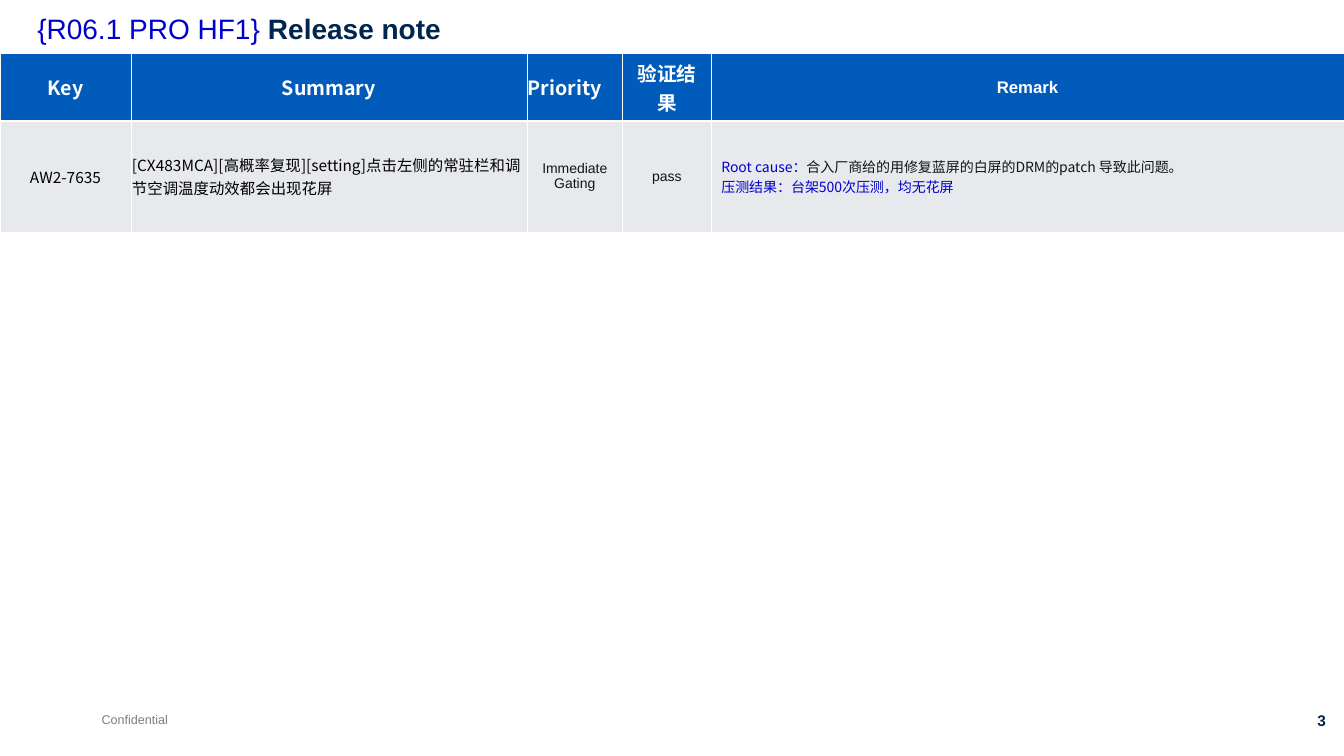
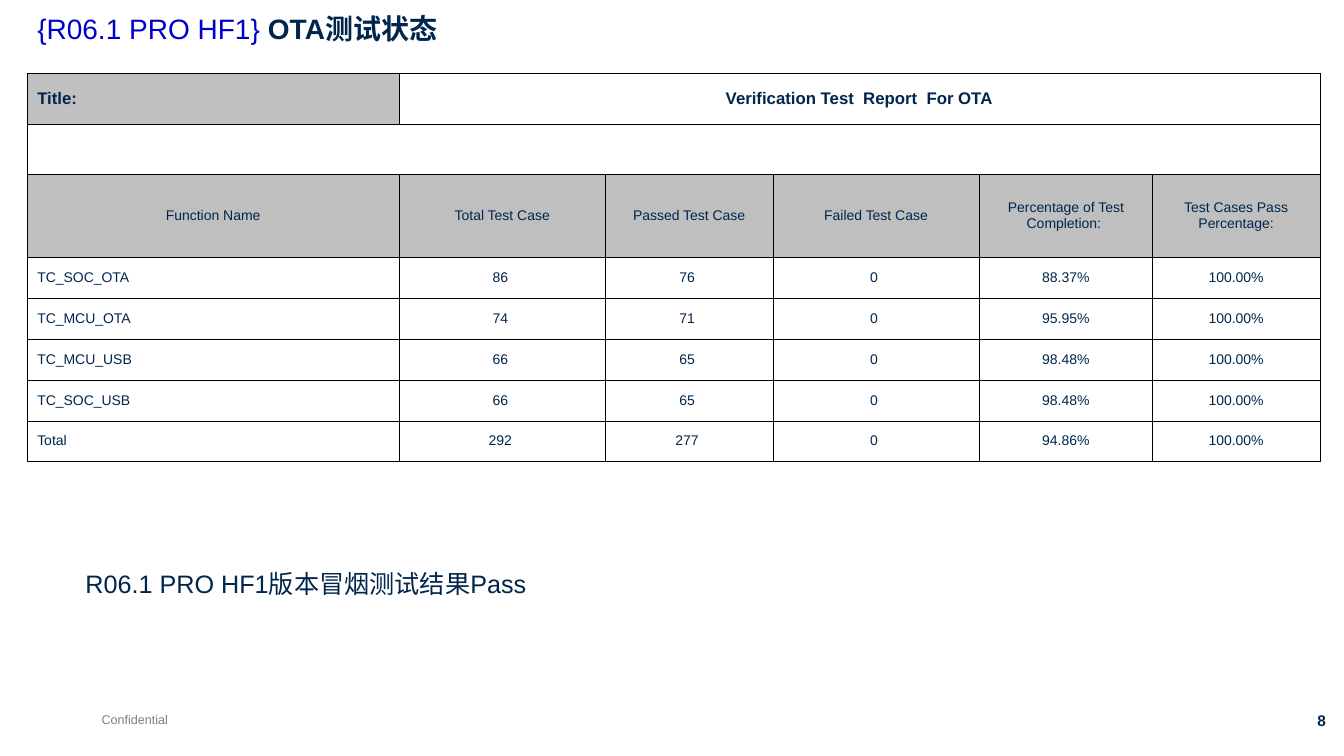
from dataclasses import dataclass, replace

from lxml.etree import SubElement
from pptx import Presentation
from pptx.dml.color import RGBColor as RGB
from pptx.enum.text import MSO_ANCHOR as Anchor, MSO_AUTO_SIZE as Fit, PP_ALIGN as Align
from pptx.oxml.ns import qn
from pptx.util import Inches, Pt


@dataclass(frozen=True)
class Face:
    """Type style of a paragraph."""
    size: float
    color: str
    bold: bool = False
    font: str = "Arial"


class Theme:
    """Colours and type styles shared by the slides."""
    navy, link, blue = "00264E", "0000CC", "005BBA"
    pale, gray, silver = "E7E9EC", "BFBFBF", "C0C0C0"
    white, black, ink = "FFFFFF", "000000", "131416"
    cjk = "Noto Sans CJK SC"
    title = Face(20, navy)
    foot = Face(9, "7F7F7F")
    number = Face(11, navy, True)
    note = Face(18, navy)
    head = Face(14, white, True)
    body = Face(10, ink)
    key = Face(11, black, font=cjk)
    report = Face(12, navy, True)
    data = Face(10, navy)


RELEASE = "{R06.1 PRO HF1} "


def write(frame, lines, face, align=Align.LEFT):
    """Fill a frame; a line is a string or a list of (text, colour, bold)."""
    for i, line in enumerate(lines):
        para = frame.add_paragraph() if i else frame.paragraphs[0]
        para.alignment = align
        font = para.font
        font.size, font.bold, font.name = Pt(face.size), face.bold, face.font
        SubElement(font._element, qn("a:ea")).set("typeface", Theme.cjk)
        if isinstance(line, str):
            font.color.rgb = RGB.from_string(face.color)
            para.add_run().text = line
            continue
        for text, color, bold in line:
            run = para.add_run()
            run.text = text
            run.font.color.rgb = RGB.from_string(color)
            run.font.bold = bold


def label(slide, box, text, face, align=Align.LEFT, wrap=True):
    """Add one text box."""
    frame = slide.shapes.add_textbox(*map(Inches, box)).text_frame
    frame.word_wrap = wrap
    write(frame, [text], face, align)


def start(deck, name, number):
    """Add a slide with its title and footer."""
    slide = deck.slides.add_slide(deck.slide_layouts[5])
    title = slide.shapes.title
    title.left, title.top, title.width, title.height = map(Inches, (0.27, 0.1, 11.85, 0.63))
    frame = title.text_frame
    frame.auto_size, frame.vertical_anchor = Fit.NONE, Anchor.TOP
    write(frame, [[(RELEASE, Theme.link, False), (name, Theme.navy, True)]], Theme.title)
    frame.paragraphs[0].line_spacing = 0.9
    label(slide, (0.91, 7.01, 0.86, 0.25), "Confidential", Theme.foot, wrap=False)
    label(slide, (12.32, 7.01, 0.94, 0.29), str(number), Theme.number, Align.RIGHT)
    return slide


def grid(slide, left, top, cols, rows):
    """Add a plain table with the given column widths and row heights."""
    box = map(Inches, (left, top, sum(cols), sum(rows)))
    table = slide.shapes.add_table(len(rows), len(cols), *box).table
    table.first_row = table.horz_banding = False
    for col, width in zip(table.columns, cols):
        col.width = Inches(width)
    for row, height in zip(table.rows, rows):
        row.height = Inches(height)
    return table


def paint(cell, fill, color, edges):
    """Set the fill and the left, right, top and bottom borders of a cell."""
    props = cell._tc.get_or_add_tcPr()
    for side, width in zip("LRTB", edges):
        line = SubElement(props, qn(f"a:ln{side}"), w=str(Pt(width)))
        solid = SubElement(line, qn("a:solidFill"))
        SubElement(solid, qn("a:srgbClr"), val=color)
    if fill:
        cell.fill.solid()
        cell.fill.fore_color.rgb = RGB.from_string(fill)
    else:
        cell.fill.background()
    cell.vertical_anchor = Anchor.MIDDLE


def issues(slide, left, top):
    """Place the table of fixed issues."""
    t = Theme
    mid, near = Align.CENTER, Align.LEFT
    remark = [
        [("Root cause：", t.link, False),
         ("合入厂商给的用修复蓝屏的白屏的DRM的patch 导致此问题。", t.ink, False)],
        [("压测结果：台架500次压测，均无花屏", t.link, False)],
    ]
    summary = "[CX483MCA][高概率复现][setting]点击左侧的常驻栏和调节空调温度动效都会出现花屏"
    cjk = replace(t.head, font=t.cjk)
    rows = [
        (t.blue, (0.45, 0.45, 0.45, 1.47), [
            (["Key"], cjk, mid), (["Summary"], cjk, mid), (["Priority"], cjk, near),
            (["验证结果"], t.head, mid), (["Remark"], replace(t.head, size=12), mid)]),
        (t.pale, (0.45, 0.45, 1.47, 0.45), [
            (["AW2-7635"], t.key, mid), ([summary], t.key, near),
            (["Immediate Gating"], t.body, mid), (["pass"], t.body, mid),
            (remark, replace(t.body, font=t.cjk), near)]),
    ]
    table = grid(slide, left, top, (1.3, 3.93, 0.95, 0.88, 6.28), (0.67, 1.1))
    for r, (fill, edges, cells) in enumerate(rows):
        for c, (lines, face, align) in enumerate(cells):
            cell = table.cell(r, c)
            paint(cell, fill, t.white, edges)
            if c < 3:
                cell.margin_left = cell.margin_right = Inches(0.01)
            write(cell.text_frame, lines, face, align)


def report(slide, left, top):
    """Place the table of test results."""
    t = Theme
    heads = ["Function Name", "Total Test Case", "Passed Test Case", "Failed Test Case",
             "Percentage of Test Completion: ", "Test Cases Pass Percentage:"]
    tests = [
        ("TC_SOC_OTA", 86, 76, "88.37%"),
        ("TC_MCU_OTA", 74, 71, "95.95%"),
        ("TC_MCU_USB", 66, 65, "98.48%"),
        ("TC_SOC_USB", 66, 65, "98.48%"),
        ("Total", 292, 277, "94.86%"),
    ]
    rows = [["Title:", "Verification Test  Report  For OTA"], [], heads]
    rows += [[name, f"{total} ", f"{good} ", "0 ", done, "100.00%"]
             for name, total, good, done in tests]
    tops = [0.5, 0.5, 0.82]
    rest = (3.85 - sum(tops)) / len(tests)
    table = grid(slide, left, top, (3.69, 2.05, 1.66, 2.05, 1.72, 1.66),
                 tops + [rest] * len(tests))
    table.cell(0, 1).merge(table.cell(0, 5))
    table.cell(1, 0).merge(table.cell(1, 5))
    for r, texts in enumerate(rows):
        for c in range(len(heads)):
            cell = table.cell(r, c)
            fill = t.gray if r == 2 else t.silver if r == c == 0 else None
            paint(cell, fill, t.black, (0.23,) * 4)
            if c < len(texts):
                align = Align.CENTER if c or r == 2 else Align.LEFT
                write(cell.text_frame, [texts[c]], t.data if r else t.report, align)


def main():
    """Build and save the deck."""
    deck = Presentation()
    deck.slide_width, deck.slide_height = Inches(13.34), Inches(7.5)
    issues(start(deck, "Release note", 3), 0, 0.53)
    slide = start(deck, "OTA测试状态", 8)
    label(slide, (0.75, 5.59, 4.61, 0.7), "R06.1 PRO HF1版本冒烟测试结果Pass", Theme.note)
    report(slide, 0.27, 0.73)
    deck.save("out.pptx")


if __name__ == "__main__":
    main()
